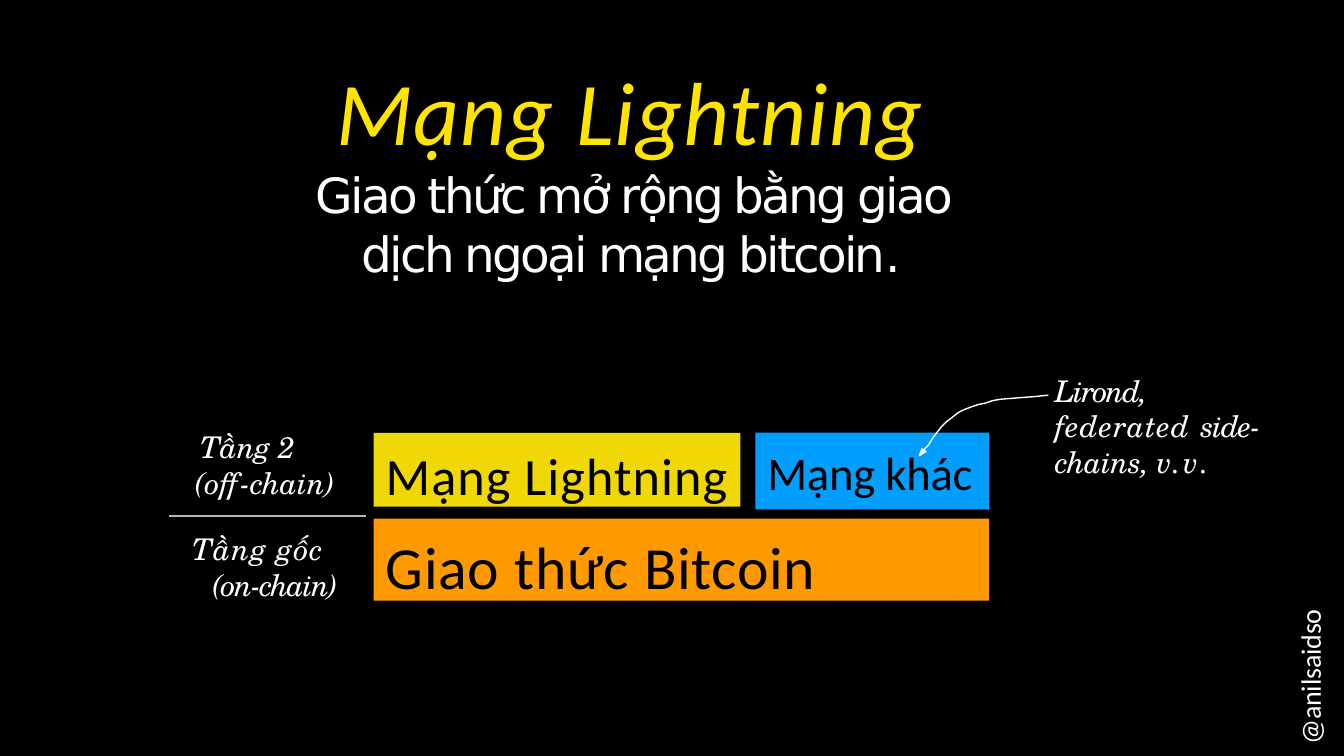
from lxml import etree
from pptx import Presentation
from pptx.dml.color import RGBColor
from pptx.enum.shapes import MSO_CONNECTOR, MSO_SHAPE
from pptx.enum.text import MSO_ANCHOR, PP_ALIGN
from pptx.oxml.ns import qn
from pptx.util import Inches, Pt

RECT, STRAIGHT = MSO_SHAPE.RECTANGLE, MSO_CONNECTOR.STRAIGHT
TOP, LEFT = MSO_ANCHOR.TOP, PP_ALIGN.LEFT

BLACK, WHITE, GREY = "000000", "FFFFFF", "B7B7B7"
YELLOW, GOLD, ORANGE, BLUE = "FFE400", "F0D706", "FF9900", "009EFF"

TITLE = {"name": "Calibri", "size": Pt(48), "italic": True, "color": YELLOW}
SUBTITLE = {"name": "DejaVu Sans", "size": Pt(26), "italic": False, "color": WHITE}
NOTE = {"name": "TeX Gyre Schola", "size": Pt(16), "italic": True, "color": WHITE}
HANDLE = {"name": "Calibri", "size": Pt(15), "color": WHITE}

BLOCK_LEFT, BLOCK_RIGHT = 2.78, 7.36
LAYER_2_TOP, BASE_TOP = 3.22, 3.86

ARROW_CURVE = [(7.8, 2.94), (7.71, 2.95), (7.58, 2.96), (7.45, 2.97), (7.39, 2.98),
               (7.33, 3), (7.28, 3.01), (7.22, 3.03), (7.17, 3.05), (7.13, 3.07),
               (7.08, 3.11), (7.04, 3.14), (7.01, 3.17), (6.97, 3.22), (6.94, 3.26),
               (6.91, 3.31), (6.87, 3.35)]
ARROW_TIP = [(6.84, 3.39), (6.86, 3.34), (6.89, 3.36)]


def rgb(color):
    return RGBColor.from_string(color)


def inches(*values):
    return [Inches(v) for v in values]


def write(p, runs, style, margin=0, indent=0):
    """Fill a paragraph with (text, letter spacing in points) runs."""
    p.alignment = LEFT
    pPr = p._p.get_or_add_pPr()
    pPr.set("marL", str(Inches(margin)))
    pPr.set("indent", str(Inches(indent)))
    for text, spacing in runs:
        if text == "\n":
            p.add_line_break()
            continue
        r = p.add_run()
        r.text = text
        for key, value in style.items():
            if key == "color":
                r.font.color.rgb = rgb(value)
            else:
                setattr(r.font, key, value)
        r._r.get_or_add_rPr().set("spc", str(round(spacing * 100)))


def set_frame(tf, top_inset):
    tf.word_wrap = True
    tf.vertical_anchor = TOP
    tf.margin_left = tf.margin_right = tf.margin_bottom = 0
    tf.margin_top = Inches(top_inset)


def add_text(s, box, runs, style, margin=0, indent=0, top_inset=0.02):
    tf = s.shapes.add_textbox(*inches(*box)).text_frame
    set_frame(tf, top_inset)
    write(tf.paragraphs[0], runs, style, margin, indent)
    return tf


def add_block(s, box, fill, text, size, spacing):
    sp = s.shapes.add_shape(RECT, *inches(*box))
    sp.shadow.inherit = False
    sp.fill.solid()
    sp.fill.fore_color.rgb = rgb(fill)
    sp.line.fill.background()
    set_frame(sp.text_frame, 0.08)
    style = {"name": "Calibri", "size": Pt(size), "color": BLACK}
    write(sp.text_frame.paragraphs[0], [(text, spacing)], style, margin=0.09)


def add_outline(s, points, closed):
    start, *rest = [inches(*point) for point in points]
    builder = s.shapes.build_freeform(*start)
    builder.add_line_segments(rest, close=closed)
    sp = builder.convert_to_shape()
    sp.shadow.inherit = False
    sp.line.color.rgb = rgb(WHITE)
    sp.line.width = Pt(0.75)
    if closed:
        sp.fill.solid()
        sp.fill.fore_color.rgb = rgb(WHITE)
    else:
        sp.fill.background()


def add_divider(s, left, right, y):
    line = s.shapes.add_connector(STRAIGHT, *inches(left, y, right, y))
    line.line.color.rgb = rgb(GREY)
    line.line.width = Pt(0.75)
    etree.SubElement(line._element.spPr, qn("a:effectLst"))


def add_heading(s):
    tf = add_text(s, (2.34, 0.41, 5.31, 1.71), [("Mạng Lightning", 0.6)], TITLE,
                  margin=0.16, top_inset=0.01)
    p = tf.add_paragraph()
    p.space_before = Pt(0.8)
    write(p, [("Giao thức mở rộng bằng giao dịch ngoại mạng bitcoin", -1.5),
              (".", -0.4)], SUBTITLE, margin=0.35, indent=-0.34)


def main():
    prs = Presentation()
    prs.slide_width = Inches(10)
    prs.slide_height = prs.slide_width * 9 // 16
    s = prs.slides.add_slide(prs.slide_layouts[6])
    s.background.fill.solid()
    s.background.fill.fore_color.rgb = rgb(BLACK)

    add_heading(s)
    add_block(s, (BLOCK_LEFT, LAYER_2_TOP, 2.73, 0.55), GOLD, "Mạng Lightning", 28, 0.6)
    add_block(s, (5.62, LAYER_2_TOP, BLOCK_RIGHT - 5.62, 0.57), BLUE,
              "Mạng khác", 25, -0.1)
    add_block(s, (BLOCK_LEFT, BASE_TOP, BLOCK_RIGHT - BLOCK_LEFT, 0.61), ORANGE,
              "Giao thức Bitcoin", 32, 0.4)

    add_text(s, (1.44, 3.17, 1.14, 0.57),
             [("Tầng 2 ", -0.2), ("(off-", 0), ("chain)", -0.1)], NOTE, 0.01, 0.04)
    add_divider(s, 1.26, 2.72, 3.84)
    add_text(s, (1.42, 3.93, 1.13, 0.56),
             [("Tầng gốc ", 0.5), ("(on-chain)", -0.8)], NOTE, 0.16, -0.15)

    add_text(s, (7.85, 2.75, 1.76, 0.83),
             [("Lirond, ", -0.9), ("\n", 0), ("federated ", 0.6), ("side-", -0.6),
              ("chains, ", -0.3), ("v.v", 1.1), (".", 0.4)], NOTE)
    add_outline(s, ARROW_CURVE, closed=False)
    add_outline(s, ARROW_TIP, closed=True)

    tf = add_text(s, (9.62, 4.45, 0.3, 1.1), [("@anilsaidso", -0.1)], HANDLE, 0.01)
    tf._txBody.bodyPr.set("vert", "vert270")
    prs.save("out.pptx")


if __name__ == "__main__":
    main()
